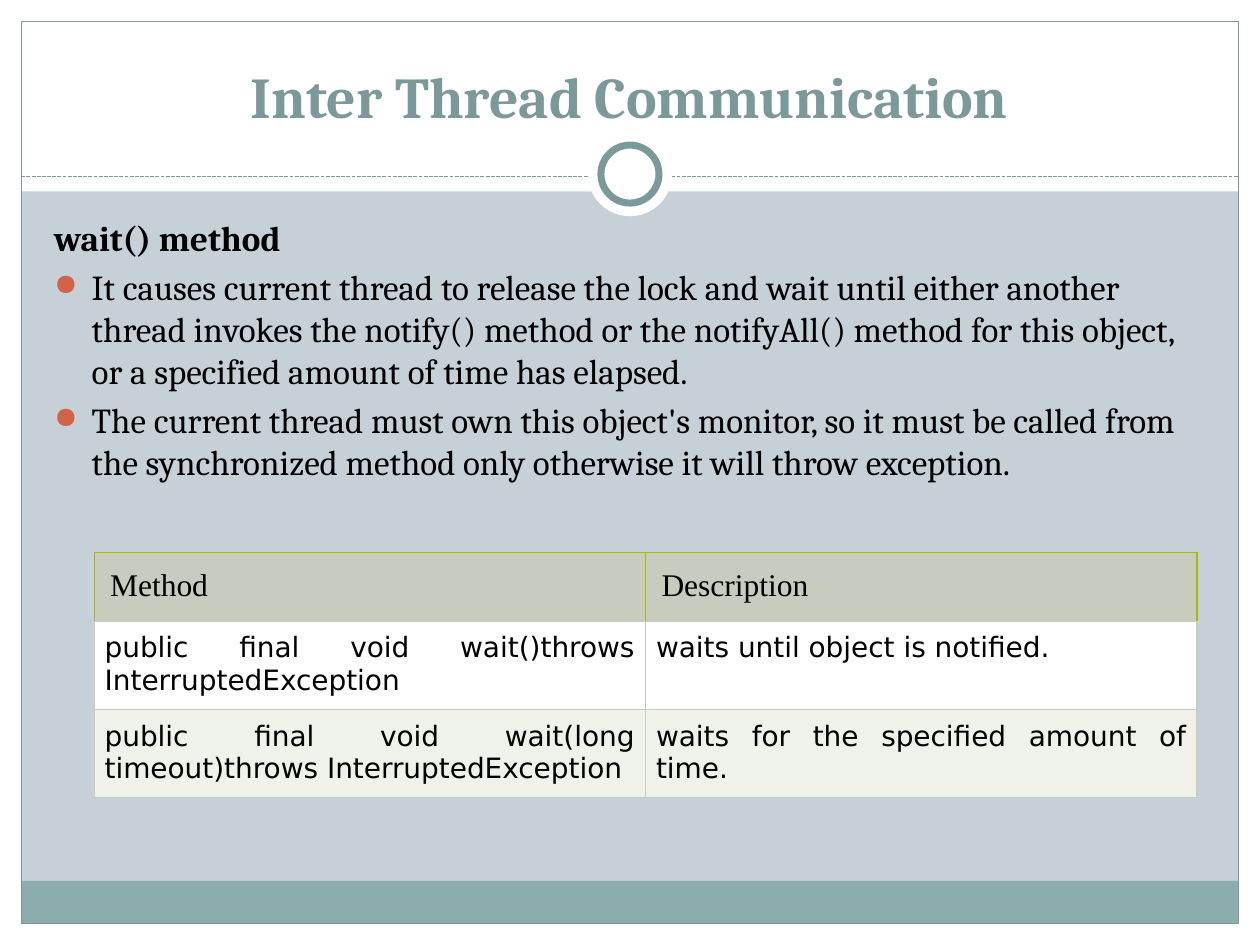
from lxml.etree import SubElement
from pptx import Presentation
from pptx.dml.color import RGBColor
from pptx.enum.dml import MSO_LINE
from pptx.enum.shapes import MSO_CONNECTOR, MSO_SHAPE
from pptx.enum.text import MSO_ANCHOR, PP_ALIGN
from pptx.oxml.ns import qn
from pptx.util import Cm, Pt

TITLE = "Inter Thread Communication"
HEADING = "wait() method"
POINTS = [
    "It causes current thread to release the lock and wait until either another thread invokes "
    "the notify() method or the notifyAll() method for this object, or a specified amount of "
    "time has elapsed.",
    "The current thread must own this object's monitor, so it must be called from the "
    "synchronized method only otherwise it will throw exception.",
]
METHODS = [
    ("Method", "Description"),
    ("public final void wait()throws InterruptedException", "waits until object is notified."),
    ("public final void wait(long timeout)throws InterruptedException",
     "waits for the specified amount of time."),
]
ROW_FILLS = ["C7CCBE", "FFFFFF", "EFF1EB"]
ROW_HEIGHTS = [1.32, 1.73, 1.73]

WIDTH, HEIGHT, MARGIN = 25.4, 19.05, 0.43
BAND_HEIGHT, FOOTER_HEIGHT, RULE_Y = 3.86, 0.86, 3.56
RING_CENTRE = (WIDTH / 2, 3.51)
TEAL, WHITE, BLACK = "7C999A", "FFFFFF", "000000"
GRID, HEADER_EDGE, BULLET = "C7CCBE", "B0B50A", "D16349"


def rgb(code):
    return RGBColor.from_string(code)


def add_part(slide, kind, left, top, width, height, fill=None, line=None, weight=0.75):
    part = slide.shapes.add_shape(kind, Cm(left), Cm(top), Cm(width), Cm(height))
    part.shadow.inherit = False
    if fill:
        part.fill.solid()
        part.fill.fore_color.rgb = rgb(fill)
    else:
        part.fill.background()
    if line:
        part.line.color.rgb = rgb(line)
        part.line.width = Pt(weight)
    else:
        part.line.fill.background()


def add_run(paragraph, text, font, size, color=BLACK, bold=False):
    run = paragraph.add_run()
    run.text = text
    run.font.name, run.font.size, run.font.bold = font, Pt(size), bold
    run.font.color.rgb = rgb(color)


def add_bullet(paragraph):
    props = paragraph._p.get_or_add_pPr()
    props.set("marL", str(Cm(0.76)))
    props.set("indent", str(-Cm(0.76)))
    SubElement(SubElement(props, qn("a:buClr")), qn("a:srgbClr"), val=BULLET)
    SubElement(props, qn("a:buSzPct"), val="85000")
    SubElement(props, qn("a:buChar"), char="●")


def set_borders(cell, colors):
    """Draw the left, right, top and bottom borders, in that order."""
    props = cell._tc.get_or_add_tcPr()
    for position, (side, color) in enumerate(zip("LRTB", colors)):
        border = props.makeelement(qn(f"a:ln{side}"), {"w": str(Pt(0.75))})
        props.insert(position, border)
        SubElement(SubElement(border, qn("a:solidFill")), qn("a:srgbClr"), val=color)


def add_frame(slide):
    rect, oval = MSO_SHAPE.RECTANGLE, MSO_SHAPE.OVAL
    for box in [
        (0, HEIGHT - MARGIN, WIDTH, MARGIN),
        (0, 0, WIDTH, BAND_HEIGHT),
        (0, 0, MARGIN, HEIGHT),
        (WIDTH - MARGIN, 0, MARGIN, HEIGHT),
    ]:
        add_part(slide, rect, *box, fill=WHITE)
    inner = WIDTH - 2 * MARGIN
    add_part(slide, rect, MARGIN, HEIGHT - MARGIN - FOOTER_HEIGHT, inner, FOOTER_HEIGHT,
             fill="8CADAE")
    add_part(slide, rect, MARGIN, MARGIN, inner, HEIGHT - 2 * MARGIN, line=TEAL)

    rule = slide.shapes.add_connector(MSO_CONNECTOR.STRAIGHT, Cm(MARGIN), Cm(RULE_Y),
                                      Cm(WIDTH - MARGIN), Cm(RULE_Y))
    rule.line.color.rgb = rgb(TEAL)
    rule.line.width = Pt(0.75)
    rule.line.dash_style = MSO_LINE.SQUARE_DOT
    SubElement(rule.element.spPr, qn("a:effectLst"))

    for size, line in [(1.7, None), (1.17, TEAL)]:
        left, top = (centre - size / 2 for centre in RING_CENTRE)
        add_part(slide, oval, left, top, size, size, WHITE, line, weight=4)


def add_title(slide):
    title = slide.shapes.title
    title.left, title.top, title.width, title.height = Cm(0.84), Cm(0.64), Cm(23.7), Cm(2.11)
    title.text_frame.vertical_anchor = MSO_ANCHOR.BOTTOM
    paragraph = title.text_frame.paragraphs[0]
    paragraph.alignment = PP_ALIGN.CENTER
    add_run(paragraph, TITLE, "Cambria", 33, TEAL, bold=True)
    slide.shapes.element.append(title.element)  # in front of the white band


def add_body(slide):
    frame = slide.shapes.add_textbox(Cm(0.84), Cm(4.24), Cm(23.62), Cm(12.7)).text_frame
    frame.word_wrap = True
    for number, text in enumerate([HEADING, *POINTS]):
        paragraph = frame.add_paragraph() if number else frame.paragraphs[0]
        paragraph.space_before = Pt(4)
        if number:
            add_bullet(paragraph)
        add_run(paragraph, text, "Cambria", 20, bold=number == 0)


def add_methods(slide):
    table = slide.shapes.add_table(len(METHODS), 2, Cm(1.9), Cm(11.13), Cm(22.23),
                                   Cm(sum(ROW_HEIGHTS))).table
    for r, (texts, fill, height) in enumerate(zip(METHODS, ROW_FILLS, ROW_HEIGHTS)):
        header = r == 0
        table.rows[r].height = Cm(height)
        for c, text in enumerate(texts):
            cell = table.cell(r, c)
            inset = Cm(0.32 if header else 0.21)
            cell.margin_left = cell.margin_right = inset
            cell.margin_top = cell.margin_bottom = inset
            cell.fill.solid()
            cell.fill.fore_color.rgb = rgb(fill)
            set_borders(cell, [HEADER_EDGE] * 3 + [GRID] if header else [GRID] * 4)
            paragraph = cell.text_frame.paragraphs[0]
            if header:
                add_run(paragraph, text, "Times New Roman", 18)
            else:
                paragraph.alignment = PP_ALIGN.JUSTIFY
                add_run(paragraph, text, "DejaVu Sans", 16)


def main():
    deck = Presentation()
    deck.slide_width, deck.slide_height = Cm(WIDTH), Cm(HEIGHT)
    slide = deck.slides.add_slide(deck.slide_layouts[5])
    slide.background.fill.solid()
    slide.background.fill.fore_color.rgb = rgb("C5D1D7")
    add_frame(slide)
    add_title(slide)
    add_body(slide)
    add_methods(slide)
    deck.save("out.pptx")


if __name__ == "__main__":
    main()
